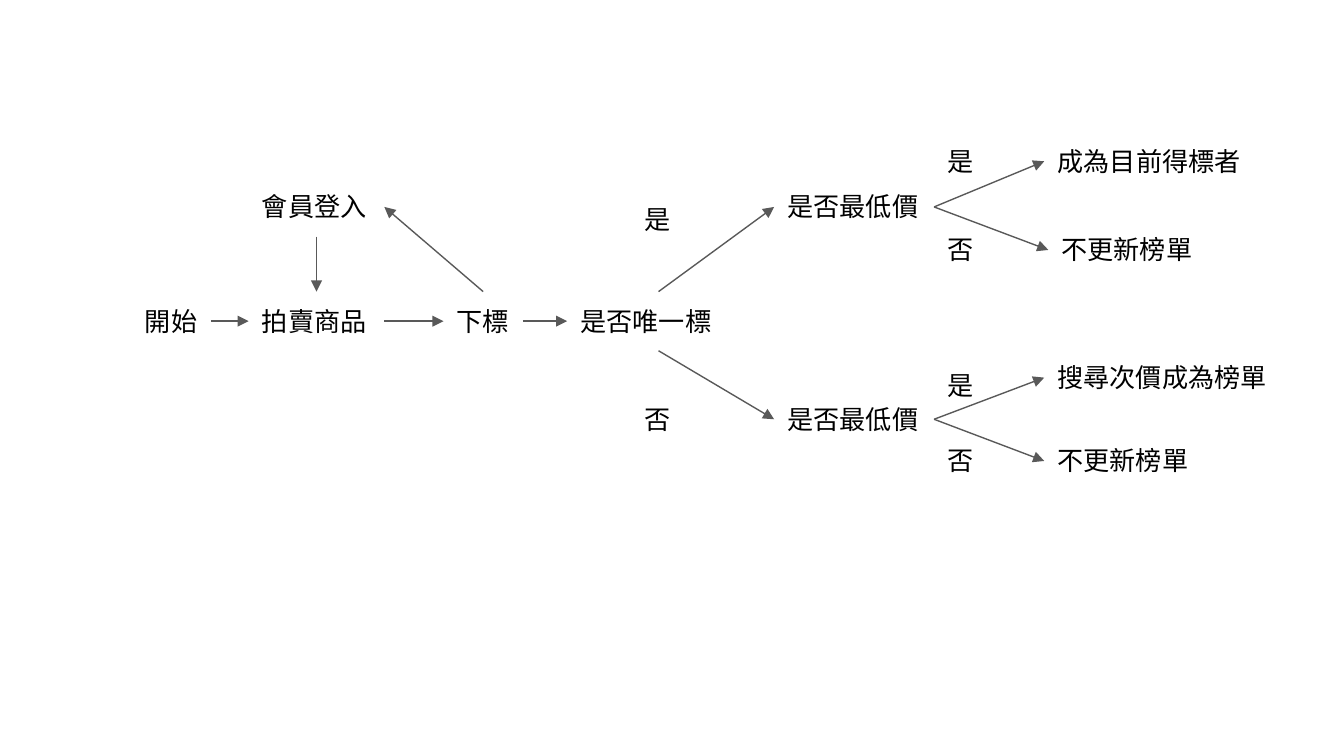
"""Build the flow chart of a lowest-unique-bid auction."""
from lxml.etree import SubElement
from pptx import Presentation
from pptx.dml.color import RGBColor
from pptx.enum.shapes import MSO_CONNECTOR
from pptx.enum.text import MSO_AUTO_SIZE
from pptx.oxml.ns import qn
from pptx.util import Inches, Pt

THEME = {
    "font": "Arial",
    "size": 14,
    "text": RGBColor(0x00, 0x00, 0x00),
    "arrow": RGBColor(0x59, 0x59, 0x59),
    "arrow_width": 0.75,
    "background": RGBColor(0xFF, 0xFF, 0xFF),
}
SLIDE_WIDTH = 10
SLIDE_HEIGHT = SLIDE_WIDTH * 9 / 16
STEP_HEIGHT, INSET = 0.44, 0.1
TOP, LEFT, BOTTOM, RIGHT = range(4)

COLUMNS = {
    "start": 0.98, "item": 1.85, "bid": 3.3, "unique": 4.22,
    "unique answer": 4.7, "lowest": 5.76, "lowest answer": 6.95,
    "result": 7.77, "result inset": 7.8,
}
ROWS = {
    "winner": 0.98, "upper": 1.32, "upper yes": 1.41, "upper no": 1.64,
    "main": 2.17, "next price": 2.59, "lower yes": 2.65,
    "lower": 2.9, "lower no": 3.21,
}
WIDTHS = {1: 0.59, 2: 0.59, 4: 1.01, 5: 1.36, 7: 1.81, 8: 2}
LOWEST_WIDTH = 1.19

STEPS = {
    "start": ("開始", "start", "main"),
    "item": ("拍賣商品", "item", "main"),
    "login": ("會員登入", "item", "upper"),
    "bid": ("下標", "bid", "main"),
    "unique": ("是否唯一標", "unique", "main"),
    "upper lowest": ("是否最低價", "lowest", "upper"),
    "lower lowest": ("是否最低價", "lowest", "lower"),
    "winner": ("成為目前得標者", "result", "winner"),
    "upper unchanged": ("不更新榜單", "result inset", "upper no"),
    "next price": ("搜尋次價成為榜單", "result", "next price"),
    "lower unchanged": ("不更新榜單", "result", "lower no"),
}
ANSWERS = [
    ("是", "unique answer", "upper yes"),
    ("否", "unique answer", "lower"),
    ("是", "lowest answer", "winner"),
    ("否", "lowest answer", "upper no"),
    ("是", "lowest answer", "lower yes"),
    ("否", "lowest answer", "lower no"),
]
ARROWS = [
    ("start", RIGHT, "item", LEFT),
    ("item", RIGHT, "bid", LEFT),
    ("bid", RIGHT, "unique", LEFT),
    ("bid", TOP, "login", RIGHT),
    ("login", BOTTOM, "item", TOP),
    ("unique", TOP, "upper lowest", LEFT),
    ("unique", BOTTOM, "lower lowest", LEFT),
    ("upper lowest", RIGHT, "winner", LEFT),
    ("upper lowest", RIGHT, "upper unchanged", LEFT),
    ("lower lowest", RIGHT, "next price", LEFT),
    ("lower lowest", RIGHT, "lower unchanged", LEFT),
]


def add_label(slide, text, *, column, row, size=THEME["size"], color=THEME["text"]):
    """Place a text label at a column and row of the chart."""
    width = LOWEST_WIDTH if column == "lowest" else WIDTHS[len(text)]
    label = slide.shapes.add_textbox(
        Inches(COLUMNS[column]), Inches(ROWS[row]), Inches(width), Inches(STEP_HEIGHT))
    frame = label.text_frame
    frame.word_wrap = True
    frame.auto_size = MSO_AUTO_SIZE.SHAPE_TO_FIT_TEXT
    frame.margin_left = frame.margin_right = Inches(INSET)
    frame.margin_top = frame.margin_bottom = Inches(INSET)
    run = frame.paragraphs[0].add_run()
    run.text = text
    run.font.name = THEME["font"]
    run.font.size = Pt(size)
    run.font.color.rgb = color
    return label


def add_arrow(slide, source, source_side, target, target_side):
    """Join the sides of two steps with an arrow."""
    arrow = slide.shapes.add_connector(MSO_CONNECTOR.STRAIGHT, 0, 0, 0, 0)
    arrow.begin_connect(source, source_side)
    arrow.end_connect(target, target_side)
    arrow.line.color.rgb = THEME["arrow"]
    arrow.line.width = Pt(THEME["arrow_width"])
    SubElement(arrow.line._get_or_add_ln(), qn("a:tailEnd"), type="triangle", w="med", len="med")
    SubElement(arrow._element.spPr, qn("a:effectLst"))


def main():
    """Draw the steps, answers and arrows and save the slide."""
    deck = Presentation()
    deck.slide_width, deck.slide_height = Inches(SLIDE_WIDTH), Inches(SLIDE_HEIGHT)
    slide = deck.slides.add_slide(deck.slide_layouts[6])
    slide.background.fill.solid()
    slide.background.fill.fore_color.rgb = THEME["background"]
    steps = {
        key: add_label(slide, text, column=column, row=row)
        for key, (text, column, row) in STEPS.items()
    }
    for text, column, row in ANSWERS:
        add_label(slide, text, column=column, row=row)
    for source, source_side, target, target_side in ARROWS:
        add_arrow(slide, steps[source], source_side, steps[target], target_side)
    deck.save("out.pptx")


if __name__ == "__main__":
    main()
